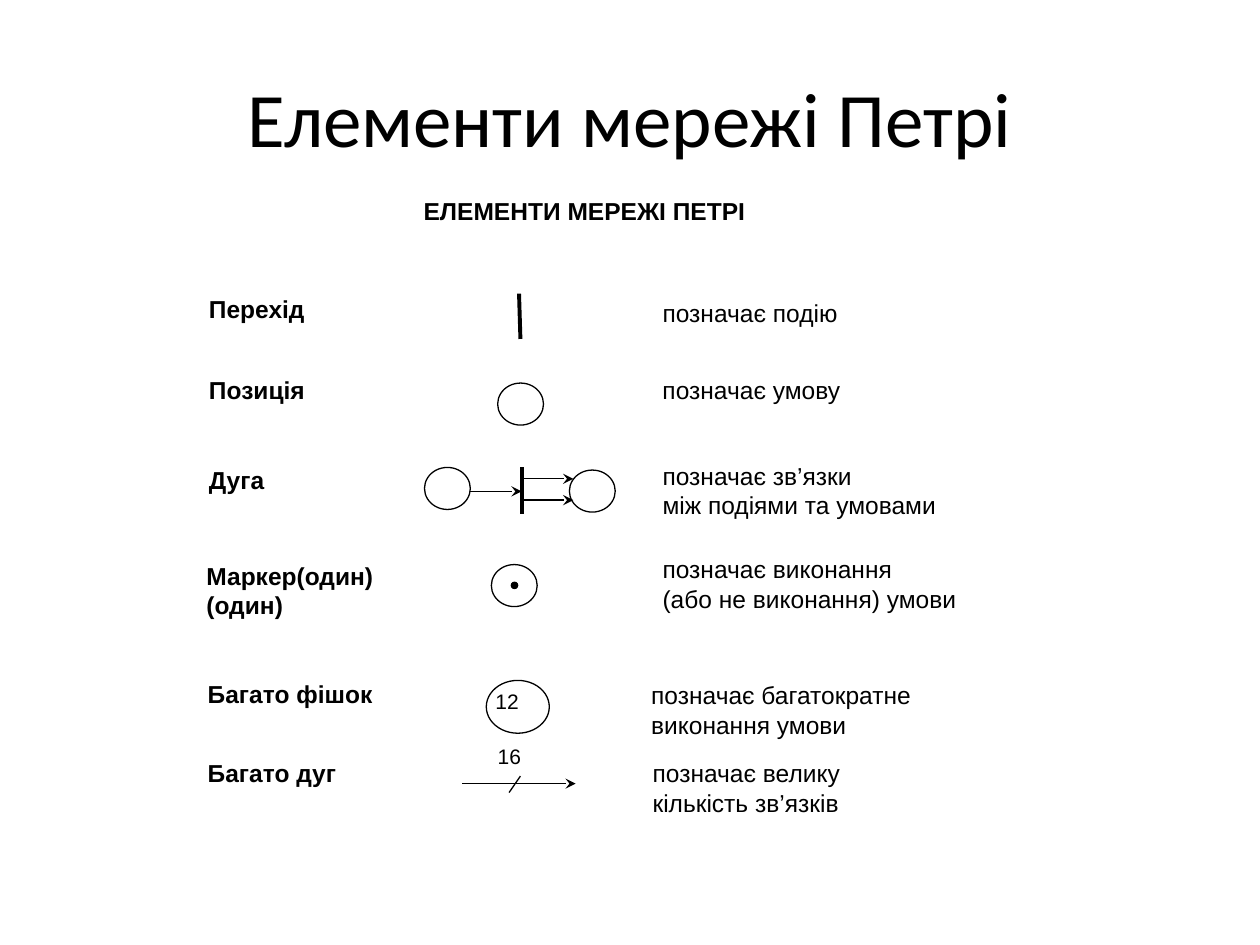
"""Build a one-slide overview of the elements of a Petri net."""
from dataclasses import dataclass

from lxml.etree import SubElement
from pptx import Presentation
from pptx.dml.color import RGBColor
from pptx.enum.shapes import MSO_CONNECTOR as Line, MSO_SHAPE as Preset
from pptx.enum.text import MSO_ANCHOR as Anchor, PP_ALIGN as Align
from pptx.oxml.ns import qn
from pptx.util import Pt


@dataclass(frozen=True)
class Theme:
    ink: RGBColor = RGBColor(0, 0, 0)
    paper: RGBColor = RGBColor(255, 255, 255)
    title_font: str = "Calibri"
    body_font: str = "Arial"
    title_size: float = 44
    body_size: float = 14
    count_size: float = 12
    thin: float = 0.75
    thick: float = 2.25


THEME = Theme()
TITLE = "Елементи мережі Петрі"
TITLE_BOX = (36, 21.6, 648, 90)
HEADING = "ЕЛЕМЕНТИ МЕРЕЖІ ПЕТРІ"
HEADING_BOX = (83.5, 108.7, 501.1, 51.8)
LABEL_HEIGHT = 32.4

LABELS = [
    ("Перехід", 112.3, 164.2, 97.2),
    ("Позиція", 112.3, 211, 106.6),
    ("Дуга", 112.3, 262.1, 64.1),
    ("Маркер(один) (один)", 110.9, 316.8, 139.7),
    ("Багато фішок", 111.6, 384.5, 138.2),
    ("Багато дуг", 111.6, 429.8, 123.8),
]
MEANINGS = [
    (["позначає подію"], (371.5, 167, 142.6, 31.7)),
    (["позначає умову"], (371.5, 211, 149, 31.7)),
    (["позначає зв’язки", "між подіями та умовами"], (371.5, 259.9, 212.4, 47.5)),
    (["позначає виконання", "(або не виконання) умови"], (371.5, 313.2, 221.8, 51.8)),
    (["позначає багатократне виконання умови"], (365, 385.2, 209.5, 46.1)),
    (["позначає велику", "кількість зв’язків"], (365.8, 429.8, 209.5, 46.1)),
]
PLACE_SIZE = (26.2, 24)
PLACES = [(284.4, 218.9), (242.6, 267.1), (325.4, 268.6), (280.8, 322.6)]
TOKEN = (292.2, 332.7, 3.6, 3.6)
MANY_TOKENS = ("12", (277.9, 388.8, 36, 30.2))
MANY_ARCS = ("16", (284.4, 424.8, 24.5, 22.3))
TRANSITIONS = [(296.6, 167.8, 297.4, 193.7), (298.1, 267.1, 298.1, 293.8)]
ARCS = [
    (268.6, 280.8, 298.1, 280.8),
    (298.1, 273.6, 327.6, 273.6),
    (298.1, 285.8, 327.6, 285.8),
    (264.2, 447.8, 329, 447.8),
]
SLASH = (297.4, 443.5, 290.9, 452.9)


def points(values):
    return [Pt(value) for value in values]


def apply(target, formats):
    for name, value in formats.items():
        setattr(target, name, value)


def write(frame, lines, font, align=Align.LEFT):
    for index, line in enumerate(lines):
        para = frame.add_paragraph() if index else frame.paragraphs[0]
        para.alignment = align
        span = para.add_run()
        span.text = line
        span.font.color.rgb = THEME.ink
        apply(span.font, font)


def body_font(size=THEME.body_size, bold=False):
    return {"name": THEME.body_font, "size": Pt(size), "bold": bold}


def add_figure(shapes, preset, box, fill=THEME.paper, outline=None):
    figure = shapes.add_shape(preset, *points(box))
    figure.shadow.inherit = False
    figure.fill.solid()
    figure.fill.fore_color.rgb = fill
    if outline is None:
        figure.line.fill.background()
    else:
        figure.line.color.rgb = outline
        figure.line.width = Pt(THEME.thin)
    return figure


def add_text(figure, lines, font, align=Align.LEFT, inset=None):
    frame = figure.text_frame
    apply(frame, {"word_wrap": True, "vertical_anchor": Anchor.TOP})
    if inset is not None:
        sides = ("left", "top", "right", "bottom")
        apply(frame, {f"margin_{side}": Pt(inset) for side in sides})
    write(frame, lines, font, align)


def add_line(shapes, ends, width=THEME.thin, arrow=False):
    line = shapes.add_connector(Line.STRAIGHT, *points(ends))
    line.line.color.rgb = THEME.ink
    line.line.width = Pt(width)
    if arrow:
        SubElement(line.line._get_or_add_ln(), qn("a:tailEnd"), type="stealth")
    SubElement(line._element.spPr, qn("a:effectLst"))


def add_title(page):
    title = page.shapes.title
    apply(title, dict(zip(("left", "top", "width", "height"), points(TITLE_BOX))))
    title.text_frame.vertical_anchor = Anchor.MIDDLE
    font = {"name": THEME.title_font, "size": Pt(THEME.title_size)}
    write(title.text_frame, [TITLE], font, Align.CENTER)


def add_wording(shapes):
    heading = add_figure(shapes, Preset.RECTANGLE, HEADING_BOX)
    add_text(heading, [HEADING], body_font(bold=True), Align.CENTER)
    for label, left, top, width in LABELS:
        box = add_figure(shapes, Preset.RECTANGLE, (left, top, width, LABEL_HEIGHT))
        add_text(box, [label], body_font(bold=True))
    for lines, place in MEANINGS:
        add_text(add_figure(shapes, Preset.RECTANGLE, place), lines, body_font())


def add_symbols(shapes):
    for corner in PLACES:
        add_figure(shapes, Preset.OVAL, corner + PLACE_SIZE, outline=THEME.ink)
    add_figure(shapes, Preset.OVAL, TOKEN, THEME.ink, THEME.ink)
    counts = [
        (Preset.OVAL, THEME.ink, MANY_TOKENS),
        (Preset.RECTANGLE, THEME.paper, MANY_ARCS),
    ]
    for preset, outline, (count, box) in counts:
        figure = add_figure(shapes, preset, box, outline=outline)
        add_text(figure, [count], body_font(THEME.count_size), inset=0)
    for ends in TRANSITIONS:
        add_line(shapes, ends, THEME.thick)
    for ends in ARCS:
        add_line(shapes, ends, arrow=True)
    add_line(shapes, SLASH)


def main():
    deck = Presentation()
    apply(deck, {"slide_width": Pt(720), "slide_height": Pt(540)})
    page = deck.slides.add_slide(deck.slide_layouts.get_by_name("Title Only"))
    add_title(page)
    diagram = page.shapes.add_group_shape().shapes
    add_wording(diagram)
    add_symbols(diagram)
    deck.save("out.pptx")


if __name__ == "__main__":
    main()
